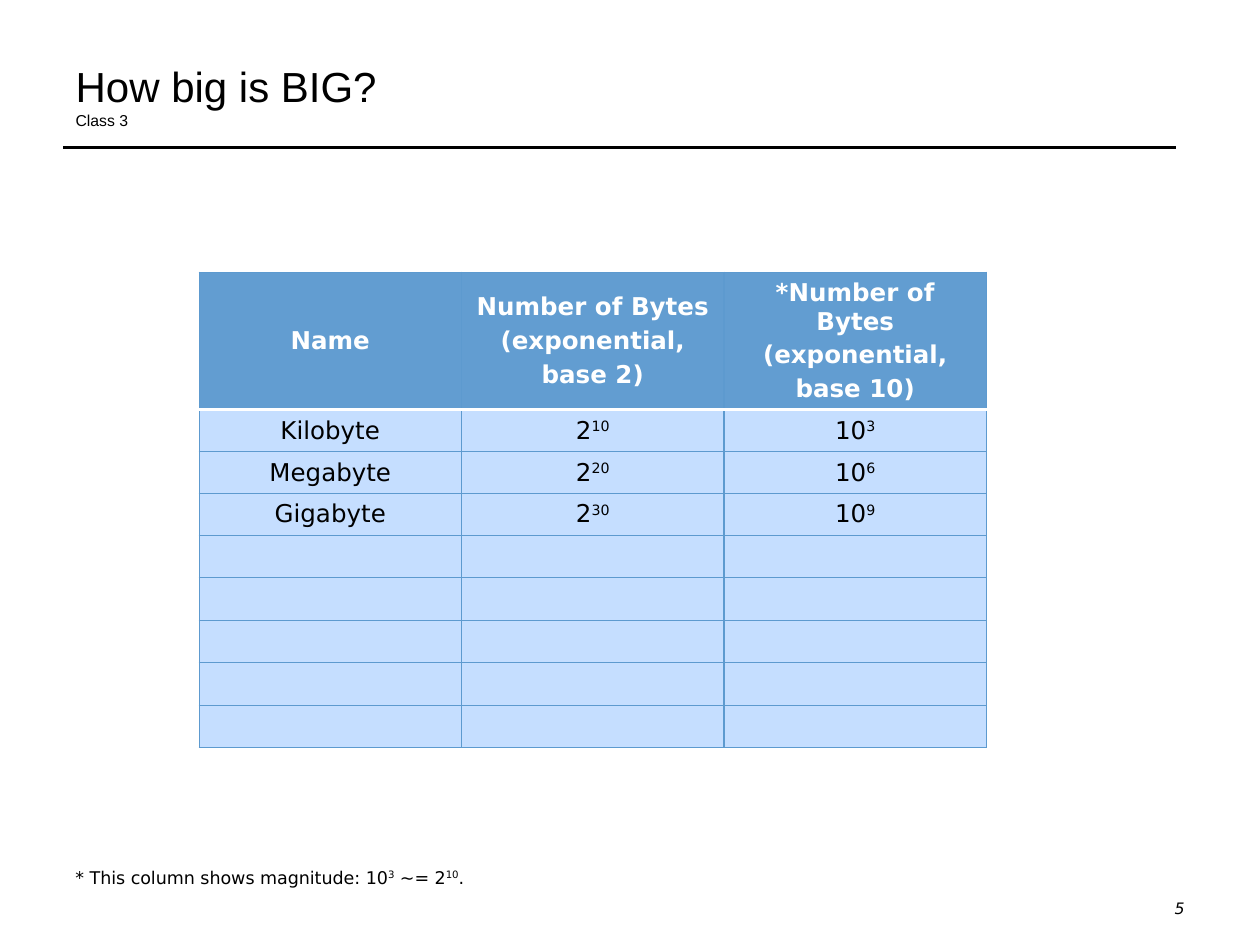
from lxml import etree
from pptx import Presentation
from pptx.dml.color import RGBColor
from pptx.enum.shapes import MSO_CONNECTOR
from pptx.enum.text import MSO_ANCHOR, MSO_AUTO_SIZE, PP_ALIGN
from pptx.oxml.ns import qn
from pptx.util import Inches, Pt

STRAIGHT = MSO_CONNECTOR.STRAIGHT
MIDDLE, BOTTOM = MSO_ANCHOR.MIDDLE, MSO_ANCHOR.BOTTOM
LEFT, CENTER, RIGHT = PP_ALIGN.LEFT, PP_ALIGN.CENTER, PP_ALIGN.RIGHT
NO_AUTOFIT = MSO_AUTO_SIZE.NONE

BLACK = RGBColor(0x00, 0x00, 0x00)
WHITE = RGBColor(0xFF, 0xFF, 0xFF)
HEADER_BLUE = RGBColor(0x62, 0x9D, 0xD1)
BODY_BLUE = RGBColor(0xC5, 0xDE, 0xFF)
BORDER_BLUE = RGBColor(0x5D, 0x9A, 0xCF)
BODY_FONT = "DejaVu Sans"

HEADER = ["Name", "Number of Bytes\n(exponential,\nbase 2)",
          "*Number of Bytes\n(exponential,\nbase 10)"]
UNITS = [["Kilobyte", "2^10^", "10^3^"],
         ["Megabyte", "2^20^", "10^6^"],
         ["Gigabyte", "2^30^", "10^9^"]]
EMPTY_ROWS = 5


def write_text(text_frame, text, size, alignment, space, color=BLACK, bold=False, italic=False):
    """Write one paragraph per line; text between carets is superscript."""
    for index, line in enumerate(text.split("\n")):
        paragraph = text_frame.add_paragraph() if index else text_frame.paragraphs[0]
        paragraph.alignment = alignment
        paragraph.space_before = Pt(space)
        for position, part in enumerate(line.split("^")):
            if not part:
                continue
            run = paragraph.add_run()
            run.text = part
            font = run.font
            font.name, font.size = BODY_FONT, Pt(size)
            font.bold, font.italic = bold, italic
            font.color.rgb = color
            if position % 2:
                font._element.set("baseline", "30000")
        if not line:
            paragraph._p.get_or_add_endParaRPr().set("sz", str(size * 100))


def set_border(cell, side, color, width):
    """Draw one side (L, R, T or B) of a table cell."""
    line = etree.Element(qn("a:ln" + side), w=str(Pt(width)))
    fill = etree.SubElement(line, qn("a:solidFill"))
    etree.SubElement(fill, qn("a:srgbClr"), val=str(color))
    properties = cell._tc.get_or_add_tcPr()
    properties.insert("LRTB".index(side), line)


presentation = Presentation()
presentation.slide_width = Inches(10)
presentation.slide_height = Inches(7.5)
slide = presentation.slides.add_slide(presentation.slide_layouts[5])

# Title with its small second line
title = slide.shapes.title
title.left, title.top = Inches(0.5), Inches(0.3)
title.width, title.height = Inches(9), Inches(0.78)
title_frame = title.text_frame
title_frame.text = "How big is BIG? \vClass 3 "
title_frame.auto_size = NO_AUTOFIT
title_frame.vertical_anchor = BOTTOM
title_paragraph = title_frame.paragraphs[0]
title_paragraph.alignment = LEFT
for run, size in zip(title_paragraph.runs, (24, 9)):
    run.font.name, run.font.size = "Arial", Pt(size)
    run.font.color.rgb = BLACK
line_break = title_paragraph._p.find(qn("a:br"))
etree.SubElement(line_break, qn("a:rPr"), sz="2400")

rule = slide.shapes.add_connector(STRAIGHT, Inches(0.5), Inches(1.17), Inches(9.33), Inches(1.17))
rule.line.color.rgb = BLACK
rule.line.width = Pt(1.5)
etree.SubElement(rule._element.spPr, qn("a:effectLst"))

# Table of byte units
rows = [HEADER] + UNITS + [[""] * 3] * EMPTY_ROWS
table = slide.shapes.add_table(len(rows), 3, Inches(1.58), Inches(2.16),
                               Inches(6.25), Inches(3.25)).table
for column in table.columns:
    column.width = Inches(6.25 / 3)
for row_index, texts in enumerate(rows):
    is_header = row_index == 0
    table.rows[row_index].height = Inches(0.61 if is_header else 0.333)
    for column_index, text in enumerate(texts):
        cell = table.cell(row_index, column_index)
        cell.vertical_anchor = MIDDLE
        cell.fill.solid()
        cell.fill.fore_color.rgb = HEADER_BLUE if is_header else BODY_BLUE
        write_text(cell.text_frame, text, 14, CENTER, 2.8,
                   color=WHITE if is_header else BLACK, bold=is_header)
        for side in "LRTB":
            under_header = (row_index, side) in ((0, "B"), (1, "T"))
            set_border(cell, side, WHITE if under_header else BORDER_BLUE,
                       2 if under_header else 0.75)

# Footnote and slide number
footnote = slide.shapes.add_textbox(Inches(0.5), Inches(6.83), Inches(9), Inches(0.27))
footnote.text_frame.word_wrap = True
write_text(footnote.text_frame, "* This column shows magnitude: 10^3^ ~= 2^10^.", 10, LEFT, 5)

slide_number = slide.shapes.add_textbox(Inches(7.17), Inches(7.08), Inches(2.33), Inches(0.25))
slide_number.text_frame.word_wrap = True
write_text(slide_number.text_frame, "5", 9, RIGHT, 0, italic=True)

presentation.save("out.pptx")
